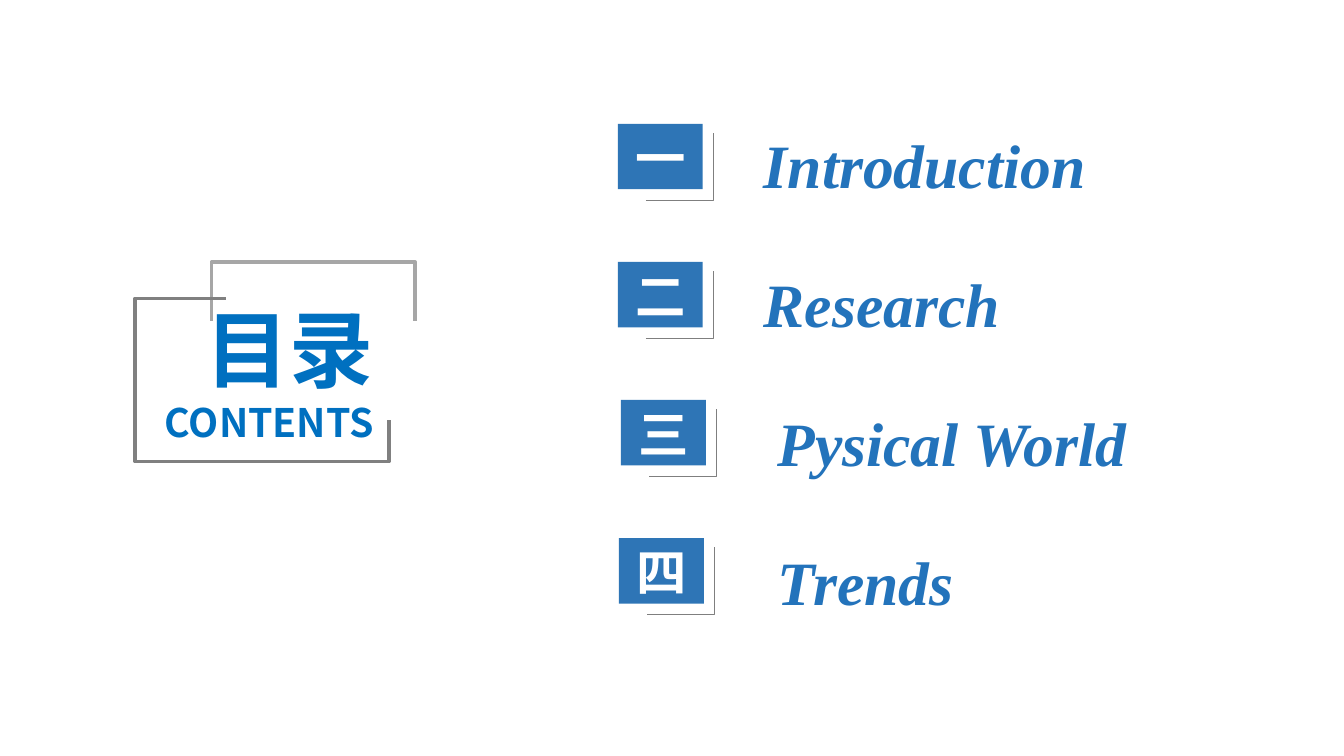
from pptx import Presentation
from pptx.dml.color import RGBColor
from pptx.enum.shapes import MSO_SHAPE
from pptx.enum.text import MSO_AUTO_SIZE, PP_ALIGN
from pptx.oxml.ns import qn
from pptx.util import Cm, Pt
from lxml import etree

RECTANGLE = MSO_SHAPE.RECTANGLE
GROW = MSO_AUTO_SIZE.SHAPE_TO_FIT_TEXT
LEFT, RIGHT = PP_ALIGN.LEFT, PP_ALIGN.RIGHT

# Content: numeral, heading, badge left, heading left (cm)
CHAPTERS = [
    ("一", "Introduction", 15.57, 19.0),
    ("二", "Research", 15.57, 19.0),
    ("三", "Pysical World", 15.65, 19.35),
    ("四", "Trends", 15.6, 19.35),
]
TITLE = [("目录", 60), ("CONTENTS", 28)]

# Title frame: colour, corner points (cm)
FRAMES = [
    ("frame_back", [(5.33, 8.08), (5.33, 6.6), (10.46, 6.6), (10.46, 8.08)]),
    ("frame_front", [(9.8, 10.59), (9.8, 11.63), (3.4, 11.63), (3.4, 7.52), (5.69, 7.52)]),
]

COLORS = {
    "title": "0070C0",
    "frame_back": "A6A6A6",
    "frame_front": "808080",
    "badge": "2E75B6",
    "numeral": "FFFFFF",
    "corner": "7F7F7F",
    "heading": "2373BB",
}
CJK, SERIF = "Noto Sans CJK SC", "Times New Roman"

BADGE_TOP, BADGE_PITCH = 3.12, 3.48
BADGE_W, BADGE_H = 2.14, 1.65
HEADING_TOP, HEADING_PITCH = 3.07, 3.5
CORNER_SIZE = 1.7

prs = Presentation()
prs.slide_width, prs.slide_height = Cm(33.87), Cm(19.05)
slide = prs.slides.add_slide(prs.slide_layouts[6])


def color(name):
    return RGBColor.from_string(COLORS[name])


def add_text(lines, box, font_name, color_name, align=LEFT, italic=False, grow=True):
    frame = slide.shapes.add_textbox(*map(Cm, box)).text_frame
    frame.word_wrap = True
    if grow:
        frame.auto_size = GROW
    frame.text = "\n".join(text for text, size in lines)
    for paragraph, (text, size) in zip(frame.paragraphs, lines):
        paragraph.alignment = align
        run = paragraph.runs[0]
        font = run.font
        font.size, font.bold, font.italic = Pt(size), True, italic
        font.color.rgb = color(color_name)
        font.name = font_name
        # East Asian glyphs take their own typeface element
        east_asian = etree.SubElement(font._element, qn("a:ea"))
        east_asian.set("typeface", font_name)


def add_outline(points, color_name, width):
    corners = [(Cm(x), Cm(y)) for x, y in points]
    builder = slide.shapes.build_freeform(*corners[0])
    builder.add_line_segments(corners[1:], close=False)
    outline = builder.convert_to_shape()
    outline.shadow.inherit = False
    outline.fill.background()
    outline.line.color.rgb = color(color_name)
    outline.line.width = Pt(width)


# Title with its two open frames
add_text(TITLE, (0.81, 7.37, 8.86, 3.91), CJK, "title", align=RIGHT)
for frame_color, frame_points in FRAMES:
    add_outline(frame_points, frame_color, 2.5)

# Chapters: badge, numeral, corner line, heading
for i, (numeral, heading, badge_left, heading_left) in enumerate(CHAPTERS):
    badge_top = BADGE_TOP + i * BADGE_PITCH
    badge = slide.shapes.add_shape(
        RECTANGLE, Cm(badge_left), Cm(badge_top), Cm(BADGE_W), Cm(BADGE_H))
    badge.shadow.inherit = False
    badge.fill.solid()
    badge.fill.fore_color.rgb = color("badge")
    badge.line.fill.background()

    add_text([(numeral, 36)], (badge_left + 0.2, badge_top - 0.05, 1.3, 1.8),
             CJK, "numeral")

    right, bottom = badge_left + 2.41, badge_top + 1.93
    add_outline([(right - CORNER_SIZE, bottom), (right, bottom),
                 (right, bottom - CORNER_SIZE)], "corner", 1)

    heading_top = HEADING_TOP + i * HEADING_PITCH
    add_text([(heading, 44)], (heading_left, heading_top, 11.68, 1.98),
             SERIF, "heading", italic=True, grow=False)

prs.save("out.pptx")
